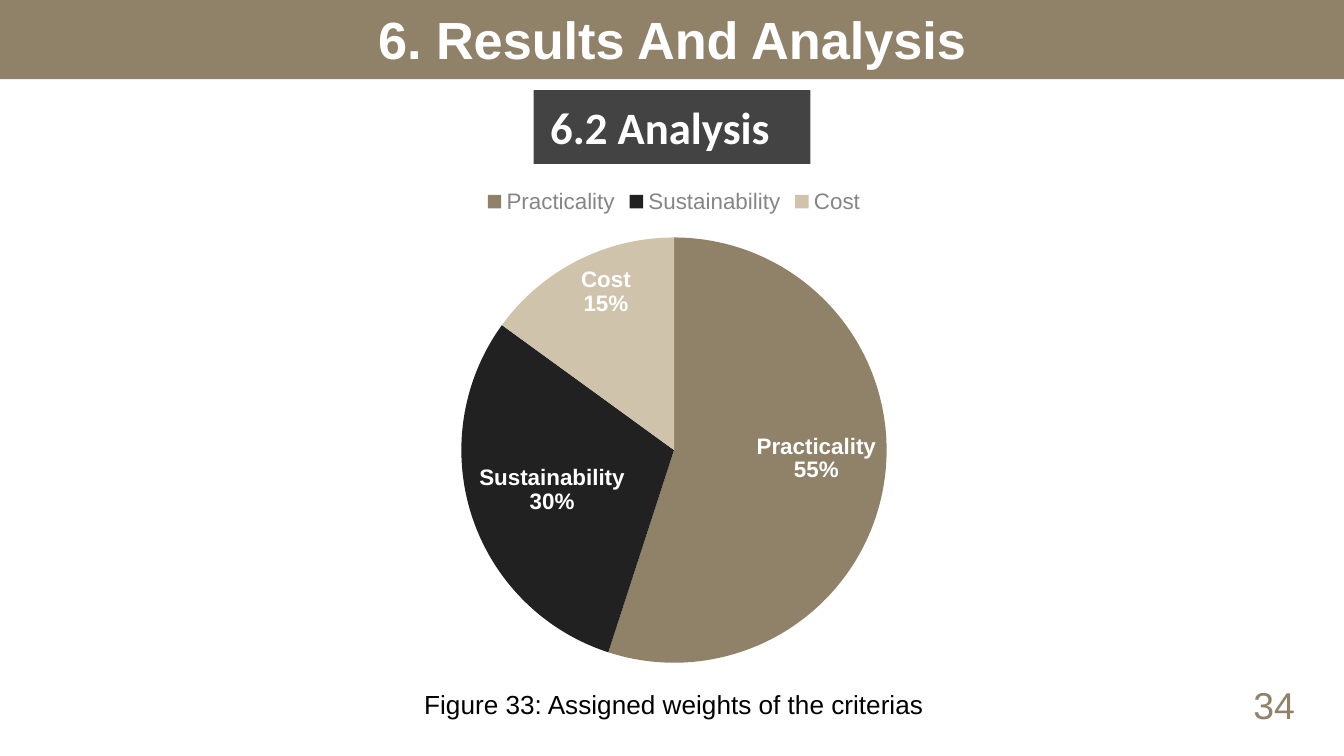
from dataclasses import dataclass

from pptx import Presentation
from pptx.chart.data import CategoryChartData
from pptx.dml.color import RGBColor
from pptx.enum.chart import XL_CHART_TYPE, XL_LABEL_POSITION, XL_LEGEND_POSITION
from pptx.enum.shapes import MSO_SHAPE
from pptx.enum.text import MSO_ANCHOR, PP_ALIGN
from pptx.slide import Slide
from pptx.text.text import Font
from pptx.util import Inches, Pt

RECTANGLE = MSO_SHAPE.RECTANGLE
PIE = XL_CHART_TYPE.PIE
INSIDE_END = XL_LABEL_POSITION.INSIDE_END
LEGEND_TOP = XL_LEGEND_POSITION.TOP
CENTER = PP_ALIGN.CENTER
TOP = MSO_ANCHOR.TOP
MIDDLE = MSO_ANCHOR.MIDDLE

CELL = Inches(0.1)
COLUMNS, ROWS = 100, 56.25


@dataclass(frozen=True)
class Theme:
    """Colours, typefaces and type sizes of the slide."""

    taupe: str = "908269"
    charcoal: str = "434343"
    black: str = "212121"
    sand: str = "CFC3AC"
    gray: str = "858585"
    white: str = "FFFFFF"
    ink: str = "000000"
    body_face: str = "Arial"
    badge_face: str = "Calibri"
    title_size: float = 28
    badge_size: float = 24
    number_size: float = 20
    caption_size: float = 14
    chart_size: float = 12


@dataclass(frozen=True)
class Area:
    """A rectangle measured in grid columns and rows."""

    column: float
    row: float
    columns: float
    rows: float

    def lengths(self) -> tuple[int, ...]:
        """Return left, top, width and height as slide lengths."""
        cells = (self.column, self.row, self.columns, self.rows)
        return tuple(round(cell * CELL) for cell in cells)


@dataclass(frozen=True)
class Style:
    """The look of a run of text."""

    size: float
    color: str
    face: str
    bold: bool = False


@dataclass(frozen=True)
class Label:
    """A line of centred text and its place."""

    area: Area
    text: str
    style: Style
    anchor: MSO_ANCHOR = TOP
    inset: float = 0.05


@dataclass(frozen=True)
class Panel:
    """A plain filled rectangle."""

    area: Area
    color: str


@dataclass(frozen=True)
class Criterion:
    """One weighted slice of the pie."""

    name: str
    weight: int
    color: str


THEME = Theme()
CHART_AREA = Area(20.9, 13, 58.5, 37.7)
PANELS = (
    Panel(Area(0, -0.1, COLUMNS, 6), THEME.taupe),
    Panel(Area(39.7, 6.7, 20.6, 5.5), THEME.charcoal),
)
LABELS = (
    Label(Area(0, -0.1, COLUMNS, 6), "6. Results And Analysis",
          Style(THEME.title_size, THEME.white, THEME.body_face, True), MIDDLE, 0.1),
    Label(Area(39.7, 6.7, 18.8, 5.5), "6.2 Analysis",
          Style(THEME.badge_size, THEME.white, THEME.badge_face, True), MIDDLE, 0.1),
    Label(Area(89.6, 50.3, 10.4, 4.4), "34",
          Style(THEME.number_size, THEME.taupe, THEME.body_face)),
    Label(Area(20.9, 50.7, 58.5, 3.4), "Figure 33: Assigned weights of the criterias",
          Style(THEME.caption_size, THEME.ink, THEME.body_face)),
)
CRITERIA = (
    Criterion("Practicality", 55, THEME.taupe),
    Criterion("Sustainability", 30, THEME.black),
    Criterion("Cost", 15, THEME.sand),
)


def set_font(font: Font, style: Style) -> None:
    """Apply a style to a font."""
    font.size = Pt(style.size)
    font.name = style.face
    font.bold = style.bold
    font.color.rgb = RGBColor.from_string(style.color)


def draw_panel(page: Slide, panel: Panel) -> None:
    """Draw a filled rectangle without outline or shadow."""
    shape = page.shapes.add_shape(RECTANGLE, *panel.area.lengths())
    shape.shadow.inherit = False
    shape.fill.solid()
    shape.fill.fore_color.rgb = RGBColor.from_string(panel.color)
    shape.line.fill.background()


def draw_label(page: Slide, label: Label) -> None:
    """Draw one centred line of text."""
    frame = page.shapes.add_textbox(*label.area.lengths()).text_frame
    frame.word_wrap = True
    frame.vertical_anchor = label.anchor
    frame.margin_top = frame.margin_bottom = Inches(label.inset)
    frame.margin_left = frame.margin_right = Inches(0.1)
    para = frame.paragraphs[0]
    para.alignment = CENTER
    span = para.add_run()
    span.text = label.text
    set_font(span.font, label.style)


def draw_pie(page: Slide, area: Area, criteria: tuple[Criterion, ...]) -> None:
    """Draw the weights as a pie with a legend on top."""
    weights = CategoryChartData(number_format="General")
    weights.categories = [criterion.name for criterion in criteria]
    weights.add_series("Series 1", [criterion.weight for criterion in criteria])
    chart = page.shapes.add_chart(PIE, *area.lengths(), weights).chart
    chart.has_title = False
    set_font(chart.font, Style(10, THEME.charcoal, THEME.body_face))
    chart.has_legend = True
    chart.legend.position = LEGEND_TOP
    chart.legend.include_in_layout = False
    set_font(chart.legend.font, Style(THEME.chart_size, THEME.gray, THEME.body_face))

    plot = chart.plots[0]
    plot.vary_by_categories = True
    series = plot.series[0]
    for index, criterion in enumerate(criteria):
        fill = series.points[index].format.fill
        fill.solid()
        fill.fore_color.rgb = RGBColor.from_string(criterion.color)
    labels = series.data_labels
    labels.show_category_name = True
    labels.show_percentage = True
    labels.show_value = False
    labels.position = INSIDE_END
    set_font(labels.font, Style(THEME.chart_size, THEME.white, THEME.body_face, True))


def main() -> None:
    """Build the slide and save the deck."""
    deck = Presentation()
    deck.slide_width = round(COLUMNS * CELL)
    deck.slide_height = round(ROWS * CELL)
    page = deck.slides.add_slide(deck.slide_layouts[6])
    for panel in PANELS:
        draw_panel(page, panel)
    draw_pie(page, CHART_AREA, CRITERIA)
    for label in LABELS:
        draw_label(page, label)
    deck.save("out.pptx")


if __name__ == "__main__":
    main()
